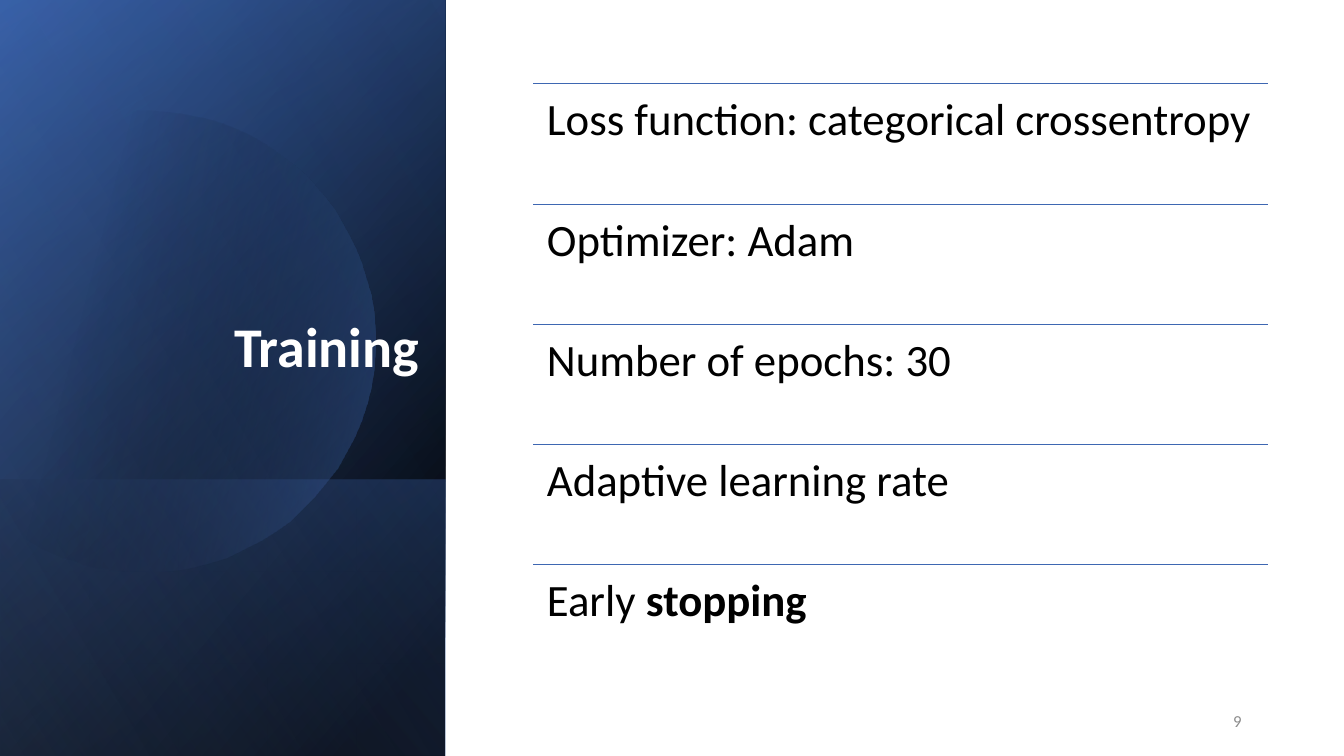
import pptx
import pptx.util
import pptx.oxml
import pptx.oxml.ns
import pptx.dml.color
import pptx.enum.shapes
import pptx.enum.text

Pt = pptx.util.Pt
RGBColor = pptx.dml.color.RGBColor
qn = pptx.oxml.ns.qn

WHITE = RGBColor(0xFF, 0xFF, 0xFF)
BLACK = RGBColor(0x00, 0x00, 0x00)
GRAY = RGBColor(0x8C, 0x8C, 0x8C)
RULE = RGBColor(0x3E, 0x67, 0xB2)
BLUE = RGBColor(0x44, 0x72, 0xC4)
DEEP_BLUE = RGBColor(0x2F, 0x55, 0x97)
PALE_BLUE = RGBColor(0x8F, 0xAA, 0xDC)


def set_gradient(sp, stops, angle):
    """Stops are (position %, colour, opacity %); the angle runs clockwise."""
    sp.shadow.inherit = False
    sp.line.fill.background()
    sp.fill.background()
    gs = "".join(
        f'<a:gs pos="{pos * 1000}"><a:srgbClr val="{color}">'
        f'<a:alpha val="{alpha * 1000}"/></a:srgbClr></a:gs>'
        for pos, color, alpha in stops)
    grad = pptx.oxml.parse_xml(
        f'<a:gradFill {pptx.oxml.ns.nsdecls("a")} rotWithShape="1"><a:gsLst>{gs}</a:gsLst>'
        f'<a:lin ang="{angle * 60000}" scaled="0"/></a:gradFill>')
    spPr = sp._element.spPr
    spPr.replace(spPr.find(qn("a:noFill")), grad)


def add_text(left, top, width, height, runs, size, color, inset):
    tf = s.shapes.add_textbox(Pt(left), Pt(top), Pt(width), Pt(height)).text_frame
    tf.word_wrap = True
    tf.margin_left = tf.margin_right = Pt(inset[0])
    tf.margin_top = tf.margin_bottom = Pt(inset[1])
    p = tf.paragraphs[0]
    for text, bold in runs:
        r = p.add_run()
        r.text = text
        if bold:
            r.font.bold = True
    p.font.name = "Calibri"
    p.font.size = Pt(size)
    p.font.color.rgb = color
    return tf


prs = pptx.Presentation()
prs.slide_width, prs.slide_height = Pt(960), Pt(540)
s = prs.slides.add_slide(prs.slide_layouts[5])

# Left panel: gradient rectangles turned by 90 degrees, with a disc among them
full = (-111, 111, 540, 318)
panels = [
    (full, [(8, BLACK, 100), (100, DEEP_BLUE, 100)], 50),
    (full, [(0, BLACK, 0), (99, BLUE, 46)], 30),
    ((60.5, 282.2, 197.3, 318), [(2, BLUE, 29), (100, BLACK, 30)], 130),
    None,
    (full, [(0, BLACK, 0), (99, PALE_BLUE, 11)], 120),
]
disc_curves = [
    [(107.3, 79.2), (177.1, 80.6), (241.2, 127.4), (261.4, 198)],
    [(261.4, 198), (286.6, 285.8), (236.2, 376.6), (149, 401.8)],
    [(149, 401.8), (94.3, 417.6), (38.2, 403.9), (-2.2, 370.1)],
    [(-10.8, 362.2), (-10.8, 362.2), (-10.8, 126), (-10.8, 126)],
    [(0, 115.9), (16.6, 102.2), (36, 91.4), (57.6, 85.7)],
    [(57.6, 85.7), (74.2, 81.4), (90.7, 79.2), (107.3, 79.2)],
]
for panel in panels:
    if panel:
        box, stops, angle = panel
        sp = s.shapes.add_shape(pptx.enum.shapes.MSO_SHAPE.RECTANGLE, *map(Pt, box))
        sp.rotation = 90
        sp._element.spPr.xfrm.set("flipH", "1")
        set_gradient(sp, stops, angle)
    else:
        points = []
        for curve in disc_curves:
            for t in (i / 20 for i in range(21)):
                weights = ((1 - t) ** 3, 3 * t * (1 - t) ** 2, 3 * t * t * (1 - t), t ** 3)
                points.append(tuple(
                    sum(w * c[axis] for w, c in zip(weights, curve)) for axis in (0, 1)))
        builder = s.shapes.build_freeform(*points[0], scale=Pt(1))
        builder.add_line_segments(points[1:], close=True)
        set_gradient(builder.convert_to_shape(), [(29, BLACK, 0), (100, BLUE, 43)], 14)

# Title, in front of the panel
title = s.shapes.title
s.shapes._spTree.append(title._element)
title.left, title.top, title.width, title.height = map(Pt, (-49.7, 209.5, 356.4, 65.5))
tf = title.text_frame
tf.text = "Training"
tf.word_wrap = True
tf.vertical_anchor = pptx.enum.text.MSO_ANCHOR.BOTTOM
p = tf.paragraphs[0]
p.alignment = pptx.enum.text.PP_ALIGN.RIGHT
p.line_spacing = 0.9
p.font.name = "Calibri"
p.font.size = Pt(40)
p.font.bold = True
p.font.color.rgb = WHITE

# Training settings, each under a thin rule
settings = [
    [("Loss function: categorical crossentropy", False)],
    [("Optimizer: Adam", False)],
    [("Number of epochs: 30", False)],
    [("Adaptive learning rate", False)],
    [("Early ", False), ("stopping", True)],
]
left, width, row_height = 381, 525, 85.9
for i, runs in enumerate(settings):
    top = 59.8 + i * row_height
    rule = s.shapes.add_connector(
        pptx.enum.shapes.MSO_CONNECTOR.STRAIGHT, Pt(left), Pt(top), Pt(left + width), Pt(top))
    rule.line.color.rgb = RULE
    rule.line.width = Pt(0.5)
    rule._element.spPr.append(
        pptx.oxml.parse_xml(f'<a:effectLst {pptx.oxml.ns.nsdecls("a")}/>'))
    tf = add_text(left, top, width, row_height, runs, 32, BLACK, (9.6, 9.6))
    tf.paragraphs[0].line_spacing = 0.9

# Slide number
tf = add_text(678, 500.5, 216, 28.8, [("9", False)], 12, GRAY, (7.2, 3.6))
tf.vertical_anchor = pptx.enum.text.MSO_ANCHOR.MIDDLE
tf.paragraphs[0].alignment = pptx.enum.text.PP_ALIGN.RIGHT

prs.save("out.pptx")
